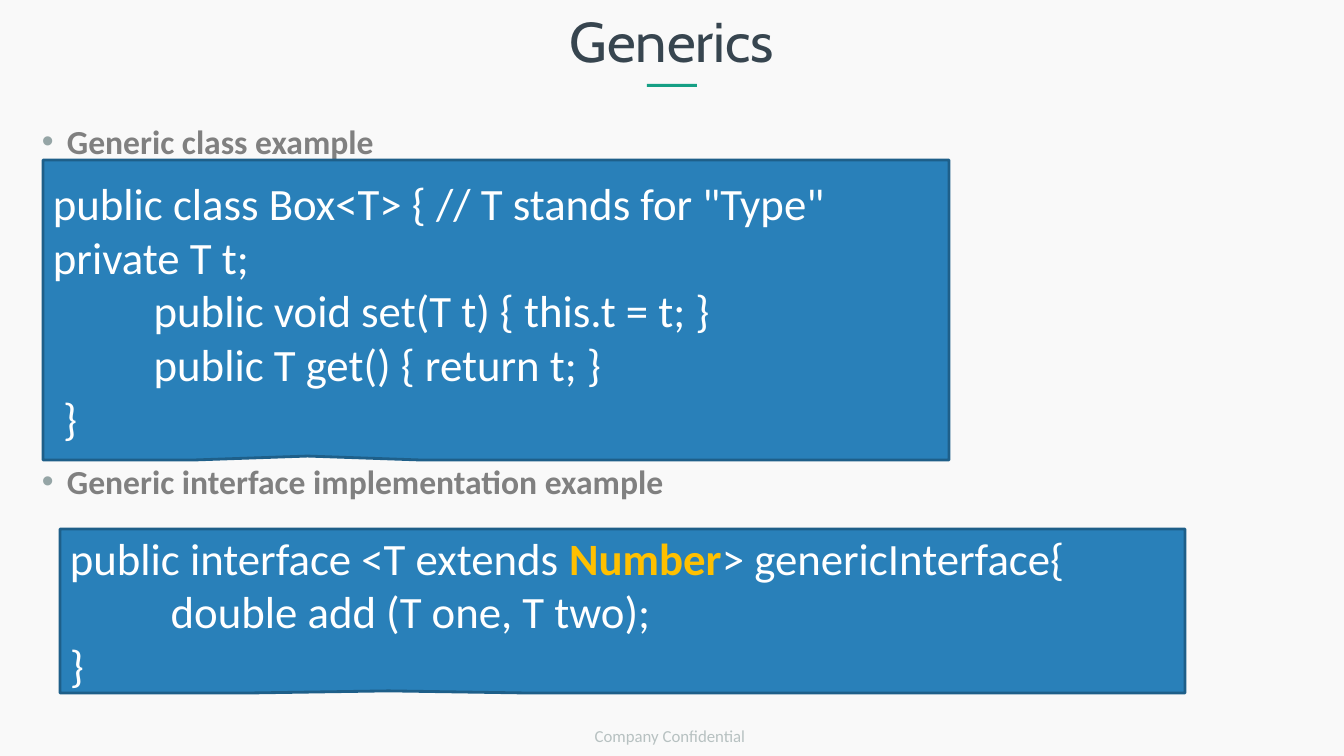
from lxml.etree import SubElement
from pptx import Presentation
from pptx.dml.color import RGBColor
from pptx.enum.shapes import MSO_SHAPE as Shape
from pptx.enum.text import MSO_ANCHOR as Anchor, MSO_AUTO_SIZE as AutoSize, PP_ALIGN as Align
from pptx.oxml.ns import qn
from pptx.util import Inches, Pt

SLIDE_WIDTH, SLIDE_HEIGHT = 1344, 756
EMU_PER_PX = 12192000 / SLIDE_WIDTH
WHITE, AMBER = "FFFFFF", "FFC000"


def px(length):
    return round(length * EMU_PER_PX)


def color(hex_code):
    return RGBColor.from_string(hex_code)


def add_text(paragraph, text, size=32, font="Calibri", fill=WHITE, bold=False):
    run = paragraph.add_run()
    run.text = text
    run.font.size, run.font.name, run.font.bold = Pt(size), font, bold
    run.font.color.rgb = color(fill)


def add_bullet(paragraph, indent=25, fill="95A5A6"):
    properties = paragraph._p.get_or_add_pPr()
    properties.set("marL", str(px(indent)))
    properties.set("indent", str(-px(indent)))
    bullet_color = SubElement(properties, qn("a:buClr"))
    SubElement(bullet_color, qn("a:srgbClr")).set("val", fill)
    SubElement(properties, qn("a:buFont")).set("typeface", "Arial")
    SubElement(properties, qn("a:buChar")).set("char", "•")


def add_tab_stop(paragraph):
    stops = SubElement(paragraph._p.get_or_add_pPr(), qn("a:tabLst"))
    stop = SubElement(stops, qn("a:tab"))
    stop.set("pos", str(Inches(1)))
    stop.set("algn", "l")


class GenericsSlide:
    def __init__(self, presentation):
        self.slide = presentation.slides.add_slide(presentation.slide_layouts[5])
        self.slide.background.fill.solid()
        self.slide.background.fill.fore_color.rgb = color("F9F9F9")

    def title(self, text, box):
        title = self.slide.shapes.title
        title.left, title.top, title.width, title.height = map(px, box)
        frame = title.text_frame
        frame.auto_size, frame.vertical_anchor = AutoSize.NONE, Anchor.TOP
        frame.paragraphs[0].alignment = Align.CENTER
        add_text(frame.paragraphs[0], text, size=40, font="Cabin", fill="37454F")

    def text_frame(self, box, anchor=Anchor.TOP):
        frame = self.slide.shapes.add_textbox(*map(px, box)).text_frame
        frame.word_wrap, frame.vertical_anchor = True, anchor
        return frame

    def footer(self, text, box):
        paragraph = self.text_frame(box, Anchor.MIDDLE).paragraphs[0]
        paragraph.alignment = Align.CENTER
        add_text(paragraph, text, size=12, fill="B7C1C1")

    def headings(self, texts, box, gap):
        """Write bulleted headings, leaving gap points between them for code."""
        frame = self.text_frame(box)
        for index, text in enumerate(texts):
            paragraph = frame.add_paragraph() if index else frame.paragraphs[0]
            paragraph.line_spacing = 1.2
            paragraph.space_before = Pt(gap if index else 0)
            add_bullet(paragraph)
            add_text(paragraph, text, size=24, fill="808080", bold=True)

    def shape(self, kind, box, fill):
        shape = self.slide.shapes.add_shape(kind, *map(px, box))
        shape.shadow.inherit = False
        shape.fill.solid()
        shape.fill.fore_color.rgb = color(fill)
        shape.line.fill.background()
        return shape

    def code(self, lines, box, keyword=None):
        callout = self.shape(Shape.RECTANGULAR_CALLOUT, box, "2980B9")
        callout.adjustments[0], callout.adjustments[1] = -0.208, 0.487
        callout.line.color.rgb = color("1E5F89")
        callout.line.width = Pt(2)
        frame = callout.text_frame
        frame.word_wrap, frame.vertical_anchor = True, Anchor.MIDDLE
        for index, line in enumerate(lines):
            paragraph = frame.add_paragraph() if index else frame.paragraphs[0]
            paragraph.alignment = Align.LEFT
            add_tab_stop(paragraph)
            before, match, after = line.partition(keyword) if keyword else (line, "", "")
            add_text(paragraph, before)
            if match:
                add_text(paragraph, match, fill=AMBER, bold=True)
                add_text(paragraph, after)


def main():
    presentation = Presentation()
    presentation.slide_width, presentation.slide_height = px(SLIDE_WIDTH), px(SLIDE_HEIGHT)
    slide = GenericsSlide(presentation)
    slide.title("Generics", (348, 1, 648, 78))
    slide.shape(Shape.RECTANGLE, (647, 84, 50, 3), "16A085")
    slide.footer("Company Confidential", (510, 716, 320, 40))
    slide.headings(
        ["Generic class example", "Generic interface implementation example"],
        (32, 108, 1289, 617), gap=208)
    slide.code([
        'public class Box<T> { // T stands for "Type"',
        "private T t;",
        "\tpublic void set(T t) { this.t = t; }",
        "\tpublic T get() { return t; }",
        " }",
    ], (43, 160, 906, 300))
    slide.code([
        "public interface <T extends Number> genericInterface{",
        "\tdouble add (T one, T two);",
        "}",
    ], (60, 529, 1125, 164), keyword="Number")
    presentation.save("out.pptx")


if __name__ == "__main__":
    main()
